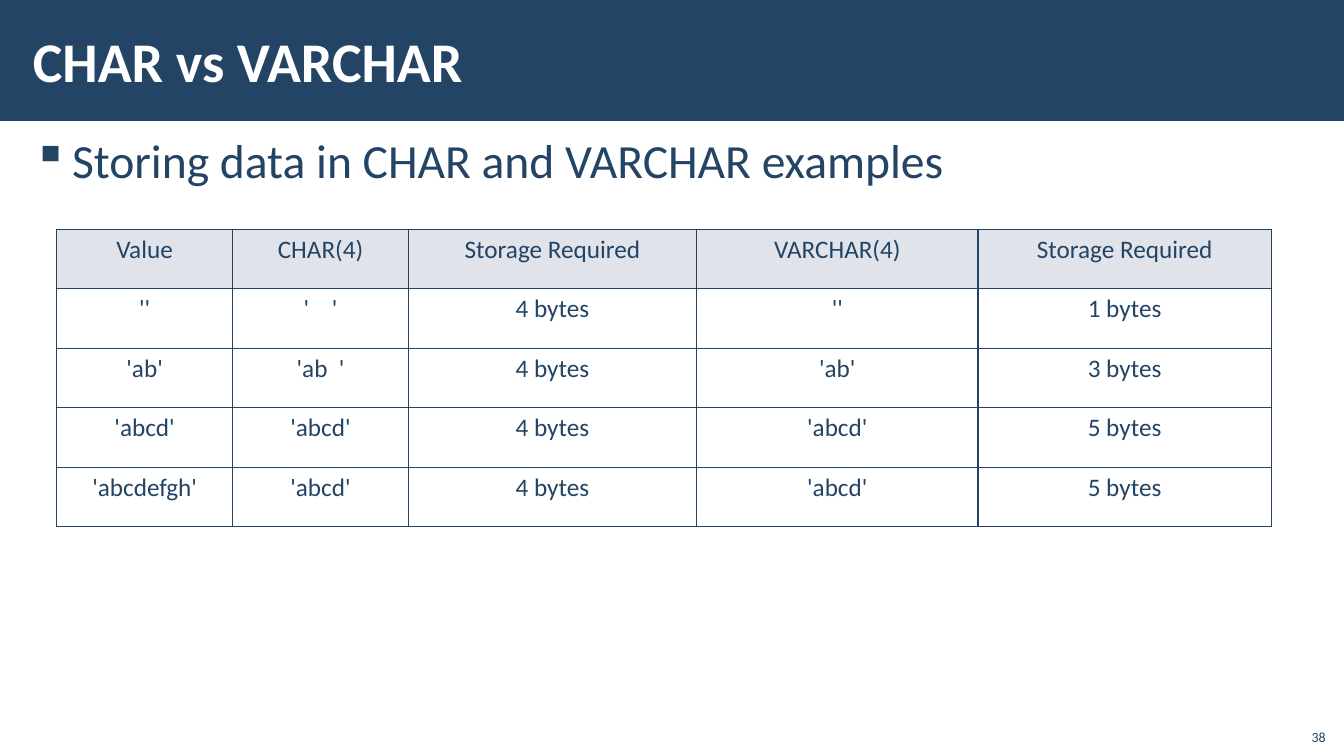
from lxml import etree
from pptx import Presentation
from pptx.dml.color import RGBColor
from pptx.enum import shapes, text
from pptx.oxml import ns
from pptx.util import Pt

NAVY = RGBColor(0x23, 0x44, 0x65)
WHITE = RGBColor(0xFF, 0xFF, 0xFF)
HEADER_GREY = RGBColor(0xE0, 0xE3, 0xE9)

COLUMN_WIDTHS = [126, 125.3, 206, 201, 209.5]
ROW_HEIGHT = 42.5
ROWS = [
    ["Value", "CHAR(4)", "Storage Required", "VARCHAR(4)", "Storage Required"],
    ["''", "'    '", "4 bytes", "''", "1 bytes"],
    ["'ab'", "'ab  '", "4 bytes", "'ab'", "3 bytes"],
    ["'abcd'", "'abcd'", "4 bytes", "'abcd'", "5 bytes"],
    ["'abcdefgh'", "'abcd'", "4 bytes", "'abcd'", "5 bytes"],
]


def write(paragraph, words, size, color=NAVY, bold=False):
    """Add one Calibri run to the paragraph."""
    run = paragraph.add_run()
    run.text = words
    run.font.name = "Calibri"
    run.font.size = Pt(size)
    run.font.bold = bold
    run.font.color.rgb = color


def add_frame(left, top, width, height, anchor, side_inset):
    """Add a wrapping text box and return its text frame."""
    frame = slide.shapes.add_textbox(Pt(left), Pt(top), Pt(width), Pt(height)).text_frame
    frame.word_wrap = True
    frame.vertical_anchor = anchor
    frame.margin_left = frame.margin_right = Pt(side_inset)
    frame.margin_top = frame.margin_bottom = Pt(3)
    return frame


prs = Presentation()
prs.slide_width, prs.slide_height = Pt(960), Pt(540)
slide = prs.slides.add_slide(prs.slide_layouts[6])

# Title band
band = slide.shapes.add_shape(shapes.MSO_SHAPE.RECTANGLE, 0, 0, Pt(960), Pt(86.4))
band.shadow.inherit = False
band.fill.solid()
band.fill.fore_color.rgb = NAVY
band.line.fill.background()

title = add_frame(15, 8, 765, 70, text.MSO_ANCHOR.MIDDLE, 8.5)
write(title.paragraphs[0], "CHAR vs VARCHAR", 40, WHITE, bold=True)

# Bulleted lead-in
body = add_frame(15, 90.5, 930, 422, text.MSO_ANCHOR.TOP, 8.5)
lead = body.paragraphs[0]
lead.space_before = lead.space_after = Pt(6)
write(lead, "Storing data in CHAR and VARCHAR examples", 34)
lead_format = lead._p.get_or_add_pPr()
lead_format.set("marL", str(Pt(28)))
lead_format.set("indent", str(-Pt(28)))
bullet_color = etree.SubElement(lead_format, ns.qn("a:buClr"))
etree.SubElement(bullet_color, ns.qn("a:srgbClr"), val=str(NAVY))
etree.SubElement(lead_format, ns.qn("a:buChar"), char="▪")

# Storage comparison
storage = slide.shapes.add_table(
    len(ROWS), len(COLUMN_WIDTHS), Pt(40.3), Pt(163.7),
    Pt(sum(COLUMN_WIDTHS)), Pt(ROW_HEIGHT * len(ROWS))).table
for column, width in zip(storage.columns, COLUMN_WIDTHS):
    column.width = Pt(width)
for r, values in enumerate(ROWS):
    storage.rows[r].height = Pt(ROW_HEIGHT)
    for c, value in enumerate(values):
        cell = storage.cell(r, c)
        cell_format = cell._tc.get_or_add_tcPr()
        for side in ("lnL", "lnR", "lnT", "lnB"):
            border = etree.SubElement(cell_format, ns.qn(f"a:{side}"), w=str(Pt(1)))
            border_fill = etree.SubElement(border, ns.qn("a:solidFill"))
            etree.SubElement(border_fill, ns.qn("a:srgbClr"), val=str(NAVY))
        if r == 0:
            cell.fill.solid()
            cell.fill.fore_color.rgb = HEADER_GREY
        else:
            cell.fill.background()
        entry = cell.text_frame.paragraphs[0]
        entry.alignment = text.PP_ALIGN.CENTER
        write(entry, value, 18)

# Page number
page = add_frame(925, 512.6, 29, 23, text.MSO_ANCHOR.BOTTOM, 7.2).paragraphs[0]
page.alignment = text.PP_ALIGN.RIGHT
write(page, "38", 10)

prs.save("out.pptx")
